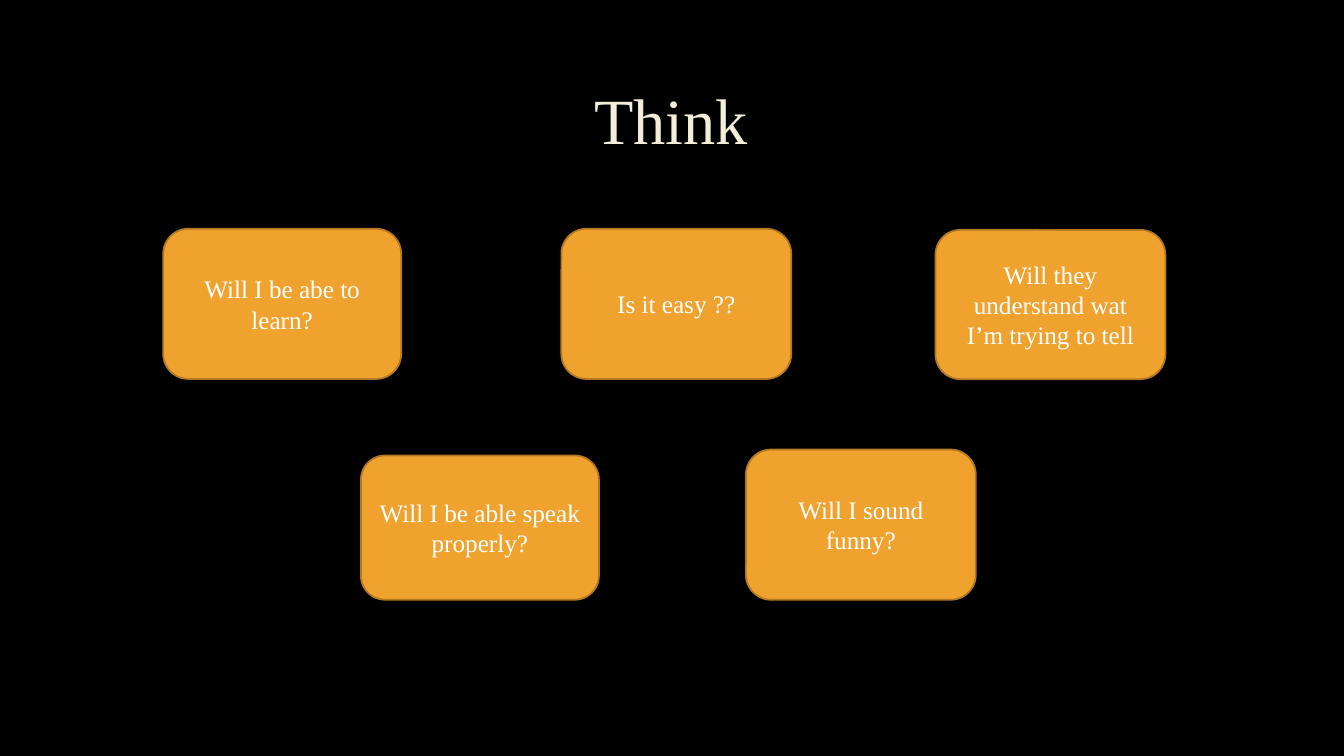
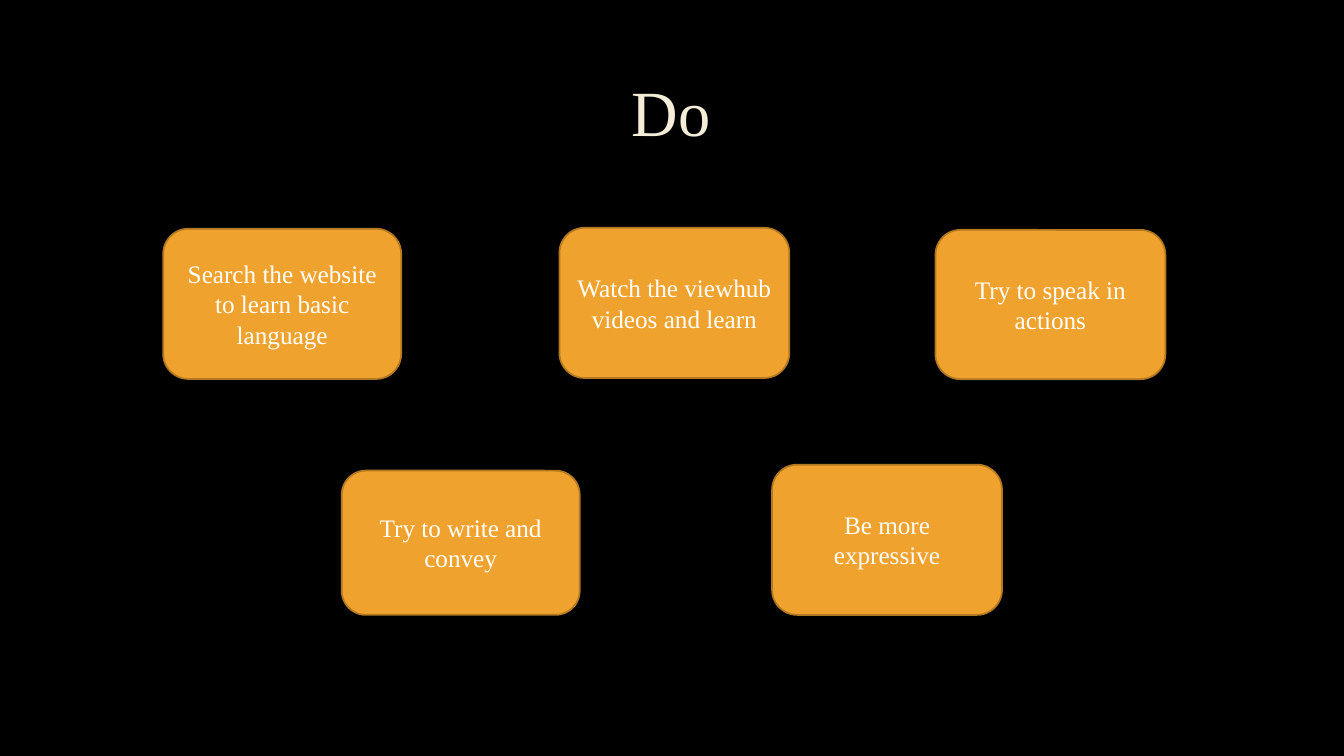
import pptx
import pptx.dml.color
import pptx.enum.shapes
import pptx.enum.text
import pptx.util

Pt = pptx.util.Pt
BLACK, CREAM, WHITE = "000000", "F4EDD8", "FFFFFF"
ORANGE, BROWN = "F0A22E", "B27822"
TITLE_FONT = {"name": "Times New Roman", "size": Pt(46)}
BOX_FONT = {"name": "Times New Roman", "size": Pt(18)}

# Box sizes, in reading order: three above, two below
SIZES = [(170, 107.3), (164.2, 107.3), (164.2, 106.6), (170, 103), (164.2, 107.3)]

# Title, title height, bottom of the lower row, then (left, top, text);
# a top of None stands the box on that bottom line
SLIDES = [
    ("Think", 80.6, 428.4, [
        (116.6, 163.4, "Will I be abe to learn?"),
        (401, 163.4, "Is it easy ??"),
        (668.2, 164.2, "Will they understand wat I’m trying to tell"),
        (257.8, None, "Will I be able speak properly?"),
        (532.8, None, "Will I sound funny?"),
    ]),
    ("Do", 68.4, 439.2, [
        (116.6, 163.4, "Search the website to learn basic language"),
        (399.6, 162.7, "Watch the viewhub videos and learn"),
        (668.2, 164.2, "Try to speak in actions"),
        (244.1, None, "Try to write and convey"),
        (551.5, None, "Be more expressive"),
    ]),
]


def rgb(value):
    return pptx.dml.color.RGBColor.from_string(value)


def write(sp, text, font, color):
    """Put one centred paragraph in the middle of a shape."""
    tf = sp.text_frame
    tf.word_wrap = True
    tf.vertical_anchor = pptx.enum.text.MSO_ANCHOR.MIDDLE
    p = tf.paragraphs[0]
    p.alignment = pptx.enum.text.PP_ALIGN.CENTER
    r = p.add_run()
    r.text = text
    for name, value in font.items():
        setattr(r.font, name, value)
    r.font.color.rgb = rgb(color)
    return p


prs = pptx.Presentation()
prs.slide_width, prs.slide_height = Pt(960), Pt(540)
background = prs.slide_master.background.fill
background.solid()
background.fore_color.rgb = rgb(BLACK)

for title, title_height, bottom, boxes in SLIDES:
    s = prs.slides.add_slide(prs.slide_layouts[6])
    sp = s.shapes.add_textbox(Pt(72), Pt(48.2), Pt(815), Pt(title_height))
    write(sp, title, TITLE_FONT, CREAM).line_spacing = 0.9

    for (left, top, text), (width, height) in zip(boxes, SIZES):
        if top is None:
            top = bottom - height
        sp = s.shapes.add_shape(pptx.enum.shapes.MSO_SHAPE.ROUNDED_RECTANGLE,
                                Pt(left), Pt(top), Pt(width), Pt(height))
        sp.shadow.inherit = False
        sp.fill.solid()
        sp.fill.fore_color.rgb = rgb(ORANGE)
        sp.line.color.rgb = rgb(BROWN)
        sp.line.width = Pt(1.25)
        write(sp, text, BOX_FONT, WHITE)

prs.save("out.pptx")
